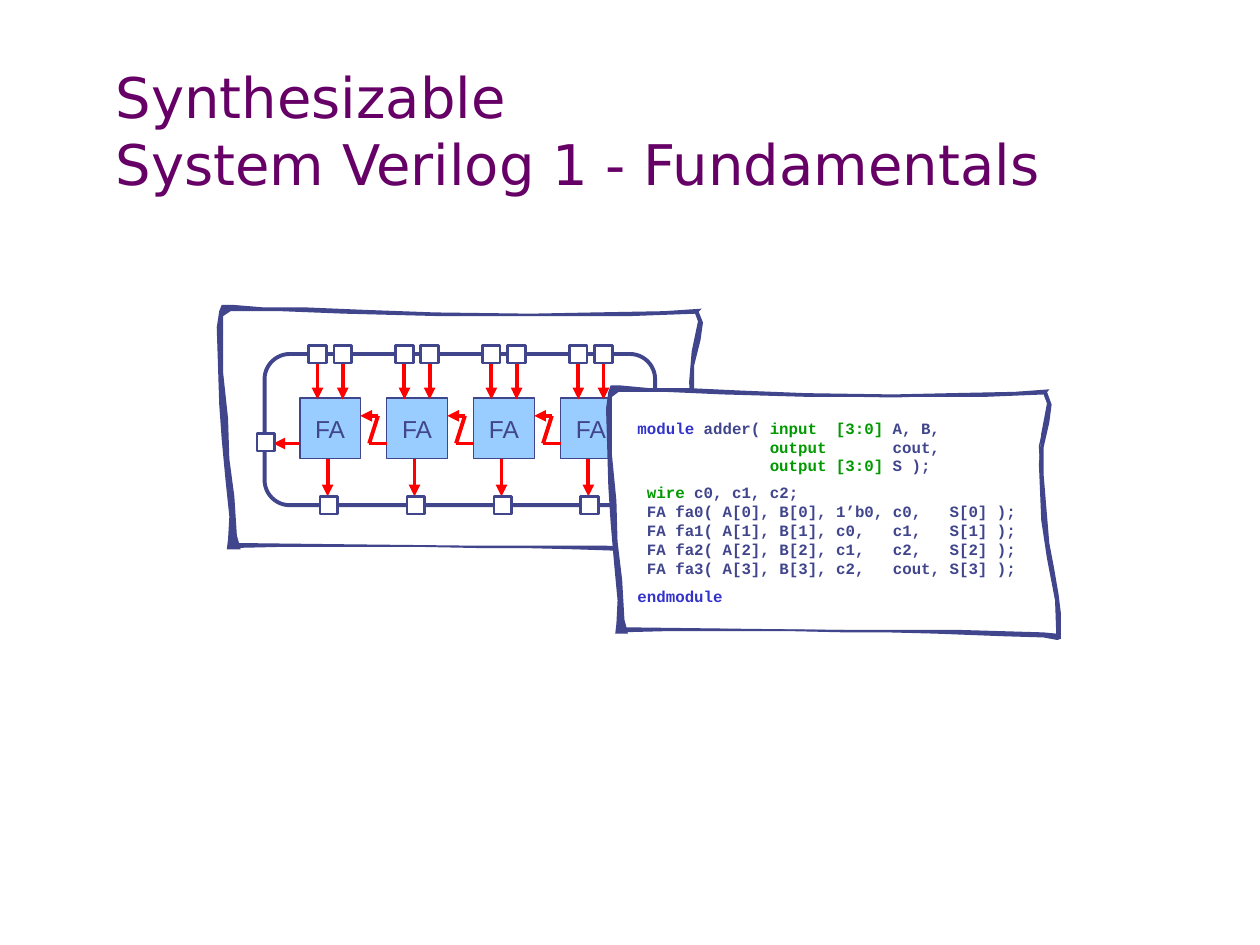
from dataclasses import dataclass

from lxml import etree
from pptx import Presentation
from pptx.dml.color import RGBColor
from pptx.enum.shapes import MSO_CONNECTOR, MSO_SHAPE
from pptx.enum.text import MSO_ANCHOR, PP_ALIGN
from pptx.oxml.ns import qn
from pptx.util import Inches, Pt

RECT, ROUND = MSO_SHAPE.RECTANGLE, MSO_SHAPE.ROUNDED_RECTANGLE
STRAIGHT = MSO_CONNECTOR.STRAIGHT
TOP, MIDDLE, BOTTOM = MSO_ANCHOR.TOP, MSO_ANCHOR.MIDDLE, MSO_ANCHOR.BOTTOM
LEFT, CENTER = PP_ALIGN.LEFT, PP_ALIGN.CENTER


@dataclass(frozen=True)
class Theme:
    title: str = "660066"
    ink: str = "40458C"
    cell: str = "99CCFF"
    wire: str = "FF0000"
    paper: str = "FFFFFF"
    block: str = "3333CC"
    word: str = "009900"
    head: tuple = ("DejaVu Sans", 32)
    label: tuple = ("Arial", 14)
    code: tuple = ("Courier New", 9)


THEME = Theme()
CHAR = Pt(5.4)  # width of one code letter
PITCH = 0.69
PORT = 0.14
CELLS = [2.38 + PITCH * i for i in range(4)]

# Hand-drawn strokes; each is scaled to the box it is drawn in.
UPPER = [
    (5.53, 2.49), (4.98, 2.51), (4.28, 2.51), (3.51, 2.51), (2.73, 2.49),
    (2.23, 2.47), (1.83, 2.47), (1.77, 2.51), (1.77, 2.61), (1.77, 2.95),
    (1.81, 3.32), (1.82, 3.64), (1.86, 3.94), (1.88, 4.25), (1.9, 4.32),
    (1.91, 4.36), (1.8, 4.36), (1.81, 4.28), (1.82, 4.1), (1.79, 3.81),
    (1.76, 3.49), (1.74, 3.21), (1.73, 2.9), (1.72, 2.6), (1.74, 2.47),
    (1.76, 2.42), (1.85, 2.42), (2.09, 2.44), (2.42, 2.44), (2.9, 2.46),
    (3.45, 2.48), (4.21, 2.49), (4.72, 2.48), (5.27, 2.47), (5.57, 2.45),
]
LOWER = [
    (1.87, 4.31), (2.75, 4.32), (3.66, 4.33), (4.22, 4.33), (4.75, 4.33),
    (5.51, 4.35), (5.62, 4.36), (5.61, 4.1), (5.54, 3.77), (5.49, 3.47),
    (5.47, 3.03), (5.49, 2.79), (5.54, 2.55), (5.51, 2.47), (5.54, 2.46),
    (5.58, 2.56), (5.56, 2.7), (5.51, 2.9), (5.51, 3.1), (5.54, 3.43),
    (5.56, 3.65), (5.6, 3.84), (5.64, 4.05), (5.66, 4.2), (5.66, 4.4),
    (5.63, 4.41), (5.51, 4.39), (5.15, 4.38), (4.57, 4.36), (4.16, 4.35),
    (3.8, 4.35), (3.3, 4.34), (2.81, 4.34), (2.26, 4.34), (1.83, 4.35),
]
SHEET = [
    (8.28, 3.11), (7.1, 3.15), (6.49, 3.14), (5.81, 3.12), (5.27, 3.09),
    (5.14, 3.1), (4.87, 3.09), (4.84, 3.11), (4.82, 3.27), (4.85, 4.05),
    (4.92, 4.76), (4.92, 4.99), (7.2, 5.01), (8.25, 5.04), (8.37, 5.06),
    (8.4, 5.03), (8.38, 4.76), (8.28, 4.1), (8.25, 3.54), (8.32, 3.24),
    (8.32, 3.21),
]

# Each code line: indent in letters, space before in points, coloured runs.
INK, WORD, BLOCK = THEME.ink, THEME.word, THEME.block
CODE = [
    (0, 0, [("module", BLOCK), (" adder( ", INK), ("input  [3:0]", WORD),
            (" A, B,", INK)]),
    (14, 0, [("output", WORD), ("       cout,", INK)]),
    (14, 0, [("output [3:0]", WORD), (" S );", INK)]),
    (1, 4.5, [("wire", WORD), (" c0, c1, c2;", INK)]),
    (1, 0, [("FA fa0( A[0], B[0], 1’b0, c0,   S[0] );", INK)]),
    (1, 0, [("FA fa1( A[1], B[1], c0,   c1,   S[1] );", INK)]),
    (1, 0, [("FA fa2( A[2], B[2], c1,   c2,   S[2] );", INK)]),
    (1, 0, [("FA fa3( A[3], B[3], c2,   cout, S[3] );", INK)]),
    (0, 5, [("endmodule", BLOCK)]),
]


def put(target, **values):
    for name, value in values.items():
        setattr(target, name, value)


class Deck:
    def __init__(self, theme):
        self.theme = theme
        self.file = Presentation()
        put(self.file, slide_width=Inches(10), slide_height=Inches(7.5))
        self.slide = self.file.slides.add_slide(self.file.slide_layouts[6])
        self.shapes = self.slide.shapes

    def paint(self, shape, fill, line, width):
        shape.shadow.inherit = False
        if fill:
            shape.fill.solid()
            shape.fill.fore_color.rgb = RGBColor.from_string(fill)
        else:
            shape.fill.background()
        if line:
            shape.line.color.rgb = RGBColor.from_string(line)
            shape.line.width = Pt(width)
        else:
            shape.line.fill.background()
        return shape

    def box(self, left, top, wide, high, fill, width, kind=RECT):
        shape = self.shapes.add_shape(
            kind, Inches(left), Inches(top), Inches(wide), Inches(high))
        return self.paint(shape, fill, self.theme.ink, width)

    def port(self, left, top):
        self.box(left, top, PORT, PORT, self.theme.paper, 1.5)

    def wire(self, start, end, arrow=True):
        ends = [Inches(v) for v in (*start, *end)]
        link = self.shapes.add_connector(STRAIGHT, *ends)
        link.line.color.rgb = RGBColor.from_string(self.theme.wire)
        link.line.width = Pt(2.25)
        if arrow:
            etree.SubElement(link.line._get_or_add_ln(), qn("a:tailEnd"),
                             type="triangle")
        etree.SubElement(link._element.spPr, qn("a:effectLst"))

    def stroke(self, points, box, fill, line=None):
        """Scale the outline to fill the box and draw it closed."""
        left, top, wide, high = box
        xs, ys = zip(*points)
        across = wide / (max(xs) - min(xs))
        down = high / (max(ys) - min(ys))
        spots = [(Inches(left + (x - min(xs)) * across),
                  Inches(top + (y - min(ys)) * down)) for x, y in points]
        form = self.shapes.build_freeform(*spots[0])
        form.add_line_segments(spots[1:], close=True)
        self.paint(form.convert_to_shape(), fill, line, 0.75)

    def text(self, shape, lines, style, pad=(0, 0), bold=False,
             align=LEFT, anchor=TOP, wrap=True):
        frame = shape.text_frame
        side, edge = (Inches(v) for v in pad)
        put(frame, word_wrap=wrap, vertical_anchor=anchor, margin_left=side,
            margin_right=side, margin_top=edge, margin_bottom=edge)
        name, size = style
        for i, (indent, space, runs) in enumerate(lines):
            para = frame.add_paragraph() if i else frame.paragraphs[0]
            put(para, alignment=align, space_before=Pt(space))
            if indent:
                para._p.get_or_add_pPr().set("marL", str(indent * CHAR))
            for words, color in runs:
                if words == "\n":
                    para.add_line_break()
                    continue
                run = para.add_run()
                run.text = words
                put(run.font, name=name, size=Pt(size), bold=bold)
                run.font.color.rgb = RGBColor.from_string(color)

    def note(self, left, top, wide, high, lines, style, **look):
        shape = self.shapes.add_textbox(
            Inches(left), Inches(top), Inches(wide), Inches(high))
        self.text(shape, lines, style, **look)


def adder(deck):
    theme = deck.theme
    for x in CELLS:
        cell = deck.box(x, 3.16, 0.48, 0.48, theme.cell, 0.75)
        deck.text(cell, [(0, 0, [("FA", theme.ink)])], theme.label,
                  pad=(0.17, 0.17), align=CENTER, anchor=MIDDLE, wrap=False)
    for x in CELLS:
        for shift in (0.14, 0.34):
            deck.wire((x + shift, 2.81), (x + shift, 3.17))
        deck.wire((x + 0.22, 3.64), (x + 0.22, 3.94))
    for x in CELLS[:-1]:
        low, high = (x + 0.55, 3.52), (x + 0.62, 3.3)
        deck.wire((x + PITCH, 3.52), low, arrow=False)
        deck.wire(high, low, arrow=False)
        deck.wire(high, (x + 0.48, 3.3))
    deck.wire((2.38, 3.52), (2.17, 3.52))
    deck.box(2.1, 2.81, 3.1, 1.2, None, 2.25, ROUND)
    for x in CELLS:
        for shift, top in ((0.07, 2.74), (0.27, 2.74), (0.16, 3.94)):
            deck.port(x + shift, top)
    deck.port(2.04, 3.44)


def main():
    deck = Deck(THEME)
    title = [("Synthesizable ", THEME.title), ("\n", None),
             ("System Verilog 1 - Fundamentals", THEME.title)]
    deck.note(0.82, 0.19, 8.85, 1.42, [(0, 0, title)], THEME.head,
              pad=(0.1, 0.05), anchor=BOTTOM)
    adder(deck)
    deck.stroke(UPPER, (1.72, 2.42, 3.85, 1.94), INK)
    deck.stroke(LOWER, (1.83, 2.46, 3.83, 1.95), INK)
    deck.stroke(SHEET, (4.82, 3.09, 3.58, 1.97), THEME.paper, INK)
    deck.stroke(UPPER, (4.81, 3.06, 3.52, 1.97), INK)
    deck.stroke(LOWER, (4.91, 3.11, 3.51, 1.97), INK)
    deck.note(5.06, 3.32, 3.07, 1.5, CODE, THEME.code, bold=True)
    deck.file.save("out.pptx")


if __name__ == "__main__":
    main()
